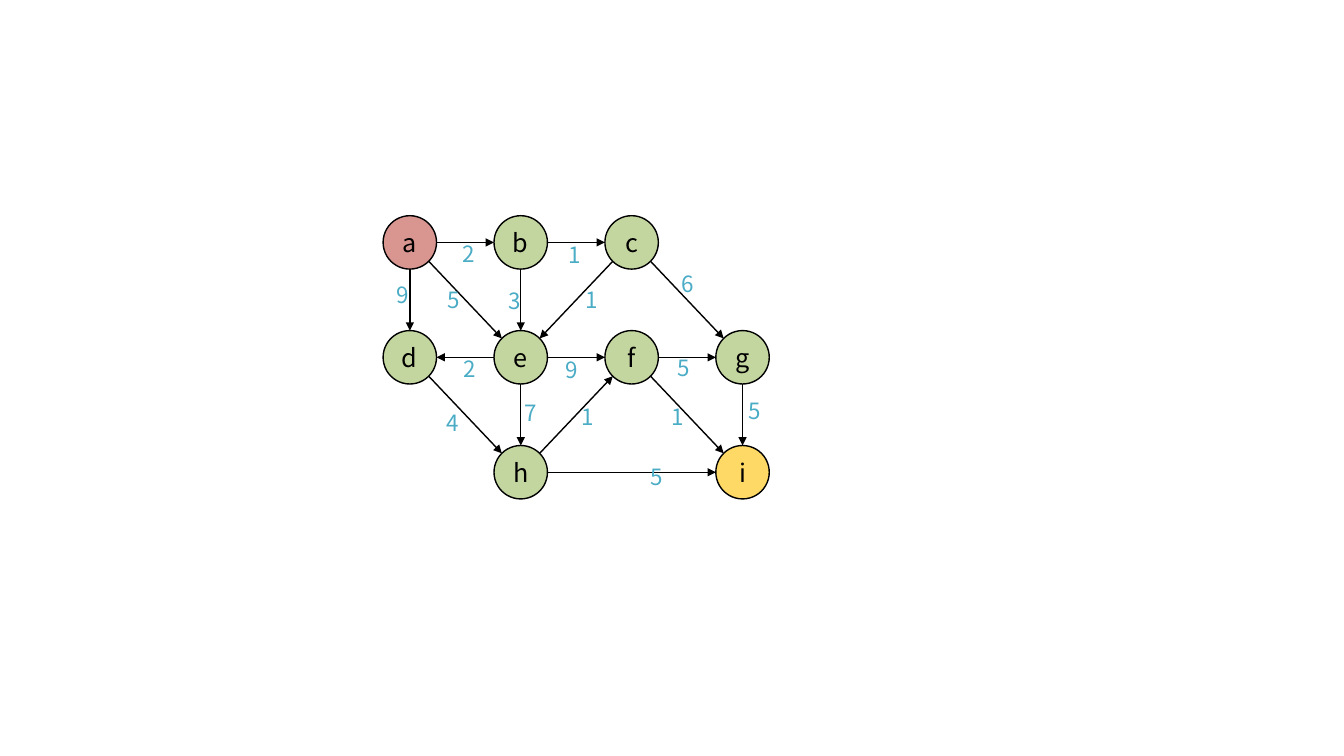
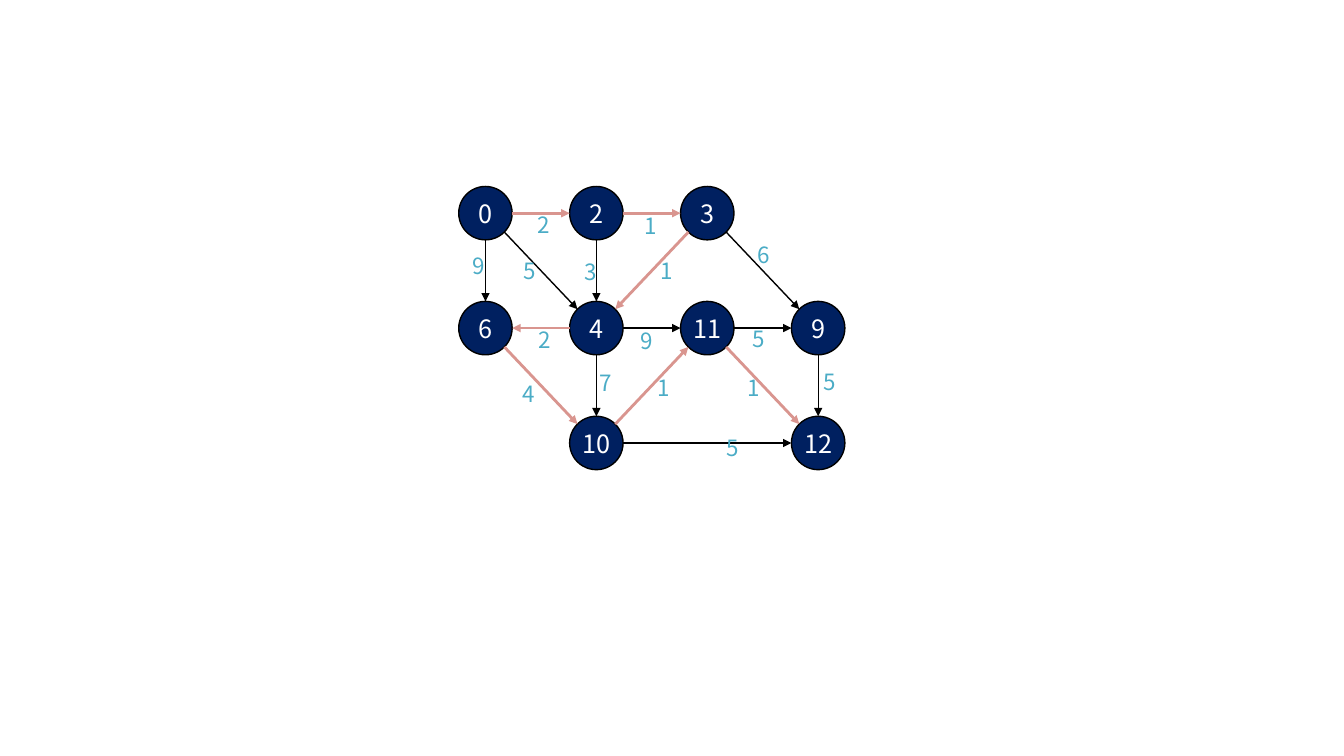
from dataclasses import dataclass
from itertools import pairwise
from math import hypot

from lxml.etree import SubElement
from pptx import Presentation
from pptx.dml.color import RGBColor
from pptx.enum.shapes import MSO_CONNECTOR, MSO_SHAPE
from pptx.enum.text import MSO_ANCHOR, MSO_AUTO_SIZE, PP_ALIGN
from pptx.oxml.ns import qn
from pptx.util import Inches, Pt


@dataclass(frozen=True)
class Theme:
    font: str = "Noto Sans CJK SC"
    ink: str = "000000"
    paper: str = "FFFFFF"
    start: str = "D9958F"
    node: str = "C4D6A0"
    goal: str = "FFD965"
    distance: str = "002060"
    weight: str = "4BACC6"
    route: str = "D9958F"
    node_size: int = 18
    weight_size: int = 16
    thin: int = 1
    thick: int = 2


# Grid in inches: pitch between node centres, and sizes of the parts
COLUMN, ROW = 1.1, 1.14
NODE = 0.53
WEIGHT_WIDTH, WEIGHT_HEIGHT = 0.26, 0.37

# Node: column, row
NODES = {
    "a": (0, 0), "b": (1, 0), "c": (2, 0),
    "d": (0, 1), "e": (1, 1), "f": (2, 1), "g": (3, 1),
    "h": (1, 2), "i": (3, 2),
}

# Edge: weight, and shift of the weight from the middle in columns and rows
EDGES = {
    "ab": (2, 0, 0.1), "ae": (5, -0.13, 0), "ad": (9, -0.09, -0.04),
    "bc": (1, -0.04, 0.11), "be": (3, -0.08, 0.01),
    "ce": (1, 0.11, 0), "cg": (6, -0.02, -0.14),
    "dh": (4, -0.14, 0.07),
    "ed": (2, 0.01, 0.1), "ef": (9, -0.07, 0.11), "eh": (7, 0.06, -0.02),
    "fg": (5, -0.06, 0.09), "fi": (1, -0.11, 0.02),
    "gi": (5, 0.08, -0.03),
    "hf": (1, 0.08, 0.02), "hi": (5, 0.2, 0.04),
}

DISTANCES = dict(a=0, b=2, c=3, d=6, e=4, f=11, g=9, h=10, i=12)
SHORTEST_PATH = "abcedhfi"


def apply(target, values):
    for attribute, value in values.items():
        setattr(target, attribute, value)


def sign(number):
    return (number > 0) - (number < 0)


class GraphDeck:
    def __init__(self, theme):
        self.theme = theme
        self.deck = Presentation()
        apply(self.deck, {"slide_width": Inches(13.33), "slide_height": Inches(7.5)})

    def new_slide(self, left, top):
        """Start a slide whose first node has its corner at left, top."""
        self.shapes = self.deck.slides.add_slide(self.deck.slide_layouts[6]).shapes
        self.origin = left + NODE / 2, top + NODE / 2

    def point(self, column, row):
        return self.origin[0] + column * COLUMN, self.origin[1] + row * ROW

    def box(self, column, row, width, height):
        x, y = self.point(column, row)
        return [Inches(n) for n in (x - width / 2, y - height / 2, width, height)]

    def caption(self, shape, text, size, color, frame, align=None):
        apply(shape.text_frame, frame)
        paragraph = shape.text_frame.paragraphs[0]
        paragraph.alignment = align
        run = paragraph.add_run()
        run.text = str(text)
        apply(run.font, {"name": self.theme.font, "size": Pt(size)})
        run.font.color.rgb = RGBColor.from_string(color)

    def stroke(self, line, color, width):
        line.color.rgb = RGBColor.from_string(color)
        line.width = Pt(width)

    def node(self, name, text, fill, color):
        circle = self.shapes.add_shape(MSO_SHAPE.OVAL, *self.box(*NODES[name], NODE, NODE))
        circle.shadow.inherit = False
        circle.fill.solid()
        circle.fill.fore_color.rgb = RGBColor.from_string(fill)
        self.stroke(circle.line, self.theme.ink, self.theme.thin)
        frame = {"word_wrap": False, "vertical_anchor": MSO_ANCHOR.MIDDLE}
        self.caption(circle, text, self.theme.node_size, color, frame, PP_ALIGN.CENTER)

    def edge(self, name, color, width):
        (c1, r1), (c2, r2) = (NODES[end] for end in name)
        # The arrow leaves each circle at the nearest of its eight compass points
        dx, dy = sign(c2 - c1), sign(r2 - r1)
        reach = NODE / 2 / hypot(dx, dy)
        (x1, y1), (x2, y2) = self.point(c1, r1), self.point(c2, r2)
        ends = (x1 + dx * reach, y1 + dy * reach, x2 - dx * reach, y2 - dy * reach)
        arrow = self.shapes.add_connector(MSO_CONNECTOR.STRAIGHT, *map(Inches, ends))
        self.stroke(arrow.line, color, width)
        properties = arrow.element.spPr
        SubElement(properties.find(qn("a:ln")), qn("a:tailEnd"), type="triangle")
        SubElement(properties, qn("a:effectLst"))

    def weight(self, name):
        (c1, r1), (c2, r2) = (NODES[end] for end in name)
        value, right, down = EDGES[name]
        middle = (c1 + c2) / 2 + right, (r1 + r2) / 2 + down
        label = self.shapes.add_textbox(*self.box(*middle, WEIGHT_WIDTH, WEIGHT_HEIGHT))
        frame = {"word_wrap": True, "auto_size": MSO_AUTO_SIZE.SHAPE_TO_FIT_TEXT}
        self.caption(label, value, self.theme.weight_size, self.theme.weight, frame)

    def edges(self, route=""):
        """Draw every edge with its weight, and stress those along the route."""
        stressed = {start + end for start, end in pairwise(route)}
        for name in EDGES:
            if name in stressed:
                self.edge(name, self.theme.route, self.theme.thick)
            else:
                self.edge(name, self.theme.ink, self.theme.thin)
        for name in EDGES:
            self.weight(name)


def main():
    theme = Theme()
    graph = GraphDeck(theme)

    # Weighted graph with its start and goal
    graph.new_slide(3.8, 2.14)
    special = {"a": theme.start, "i": theme.goal}
    for name in NODES:
        graph.node(name, name, special.get(name, theme.node), theme.ink)
    graph.edges()

    # Distances from the start, and the shortest path
    graph.new_slide(4.55, 1.85)
    for name, distance in DISTANCES.items():
        graph.node(name, distance, theme.distance, theme.paper)
    graph.edges(SHORTEST_PATH)

    graph.deck.save("out.pptx")


if __name__ == "__main__":
    main()
